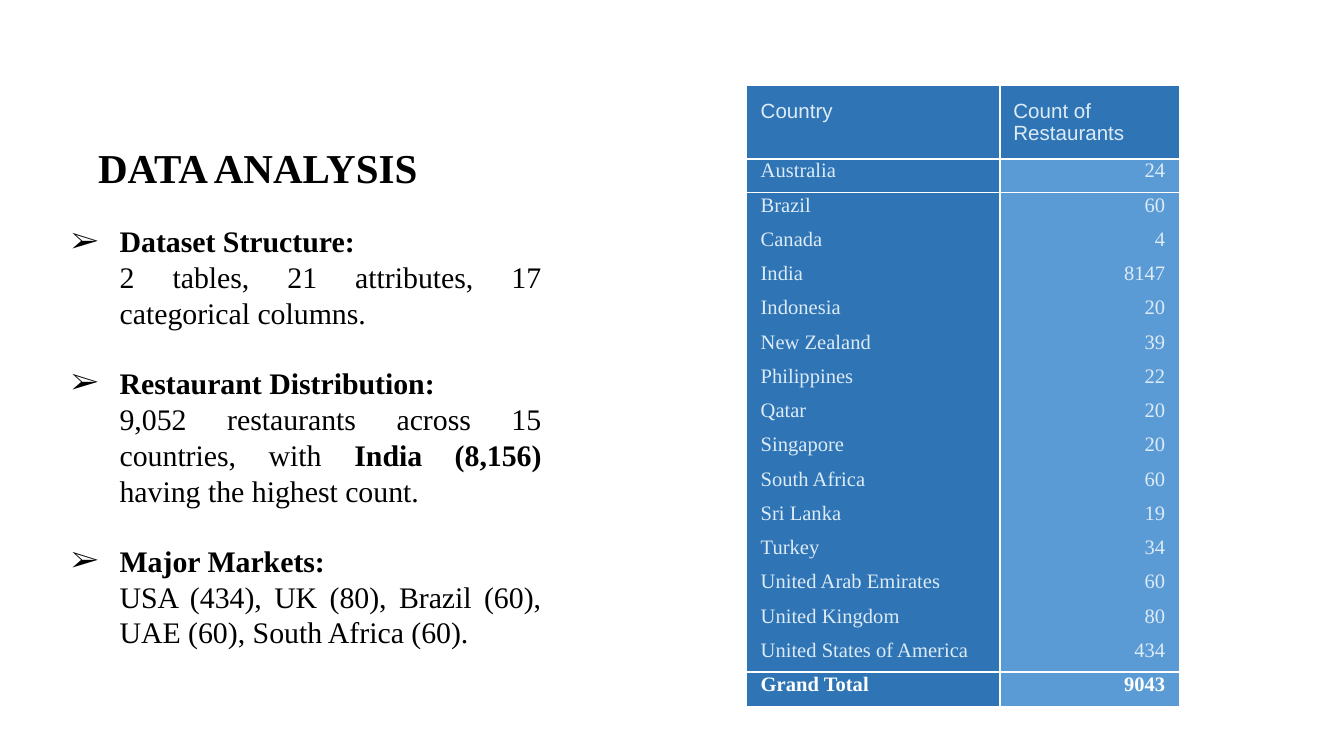
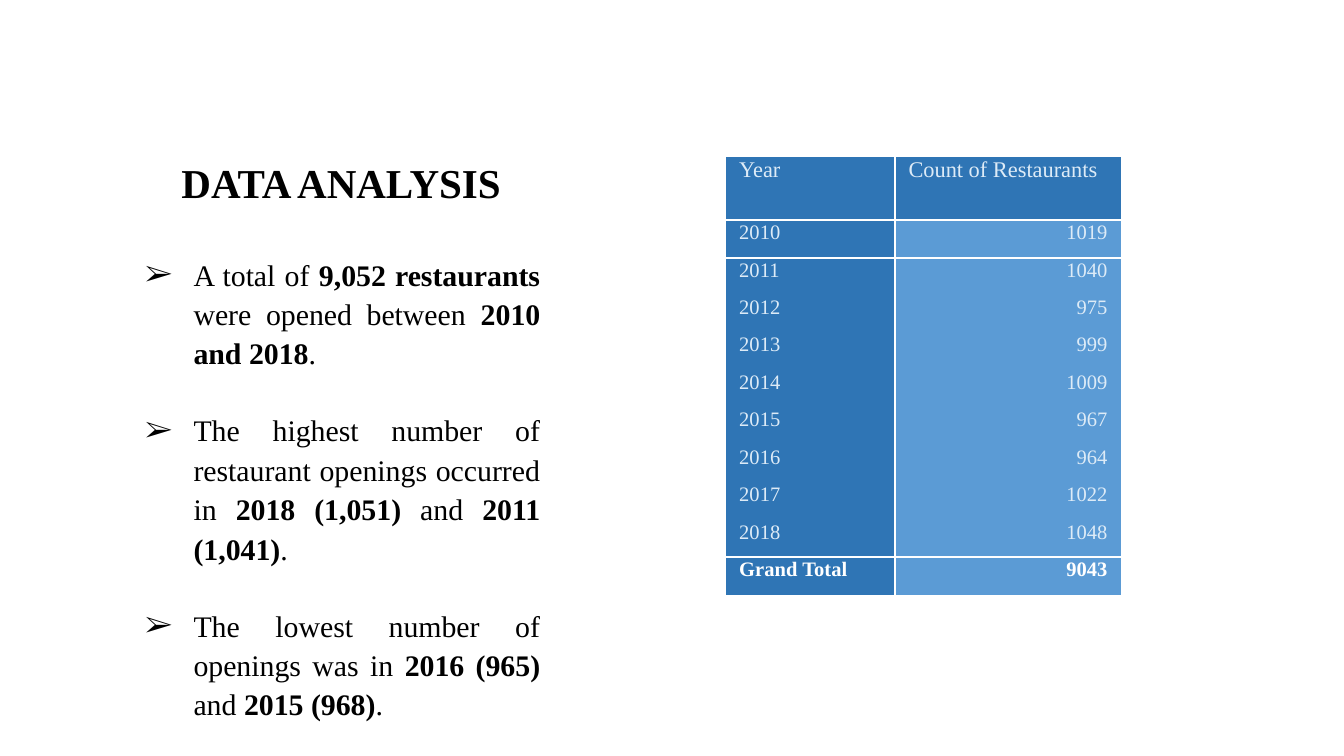
from pptx import Presentation
from pptx.dml.color import RGBColor
from pptx.enum.text import MSO_ANCHOR, MSO_AUTO_SIZE, PP_ALIGN
from pptx.oxml.ns import qn
from pptx.util import Inches, Pt
from lxml.etree import SubElement

SLIDE_WIDTH, SLIDE_HEIGHT = Inches(10), Inches(5.625)
SERIF, SANS = "Times New Roman", "Arial"
BLACK, WHITE, PALE = "000000", "FFFFFF", "DDEBF7"
DARK_BLUE, LIGHT_BLUE = "2F75B5", "5B9BD5"
INSET = Inches(0.1)
RULE_WIDTH = 1.13
ROW_SPACING = 0.32

COUNTRY_COUNTS = [
    ("Country", "Count of Restaurants"),
    ("Australia", 24),
    ("Brazil", 60),
    ("Canada", 4),
    ("India", 8147),
    ("Indonesia", 20),
    ("New Zealand", 39),
    ("Philippines", 22),
    ("Qatar", 20),
    ("Singapore", 20),
    ("South Africa", 60),
    ("Sri Lanka", 19),
    ("Turkey", 34),
    ("United Arab Emirates", 60),
    ("United Kingdom", 80),
    ("United States of America", 434),
    ("Grand Total", 9043),
]
YEAR_COUNTS = [
    ("Year", "Count of Restaurants"),
    (2010, 1019),
    (2011, 1040),
    (2012, 975),
    (2013, 999),
    (2014, 1009),
    (2015, 967),
    (2016, 964),
    (2017, 1022),
    (2018, 1048),
    ("Grand Total", 9043),
]
DATASET_POINTS = [
    ("**Dataset Structure:**",
     "2 tables, 21 attributes, 17 categorical columns."),
    ("**Restaurant Distribution:**",
     "9,052 restaurants across 15 countries, with **India (8,156)** having the highest count."),
    ("**Major Markets:**",
     "USA (434), UK (80), Brazil (60), UAE (60), South Africa (60)."),
]
OPENING_POINTS = [
    ("A total of **9,052 restaurants** were opened between **2010 and 2018**.",),
    ("The highest number of restaurant openings occurred in "
     "**2018 (1,051)** and **2011 (1,041)**.",),
    ("The lowest number of openings was in **2016 (965)** and **2015 (968)**.",),
]


def color(value):
    return RGBColor.from_string(value)


def across(percent):
    return round(SLIDE_WIDTH * percent / 100)


def down(percent):
    return round(SLIDE_HEIGHT * percent / 100)


def write(paragraph, text, size=16, font=SERIF, ink=BLACK, bold=False,
          align=PP_ALIGN.LEFT, spacing=1.0, before=0):
    paragraph.alignment = align
    paragraph.line_spacing = spacing
    paragraph.space_before = Pt(before)
    paragraph.space_after = Pt(0)
    for index, part in enumerate(text.split("**")):
        if part:
            run = paragraph.add_run()
            run.text = part
            run.font.size = Pt(size)
            run.font.name = font
            run.font.bold = bold or index % 2 == 1
            run.font.color.rgb = color(ink)


def settle(placeholder, left, top, width, height):
    placeholder.left, placeholder.top = across(left), down(top)
    placeholder.width, placeholder.height = across(width), down(height)
    frame = placeholder.text_frame
    frame.word_wrap = True
    frame.auto_size = MSO_AUTO_SIZE.NONE
    frame.vertical_anchor = MSO_ANCHOR.TOP
    frame.margin_left = frame.margin_right = INSET
    frame.margin_top = frame.margin_bottom = INSET
    return frame


def set_bullet(paragraph, shown):
    properties = paragraph._p.get_or_add_pPr()
    properties.set("marL", str(Inches(0.5)))
    properties.set("indent", str(-Inches(0.36) if shown else 0))
    if shown:
        tint = SubElement(properties, qn("a:buClr"))
        SubElement(tint, qn("a:srgbClr"), val=BLACK)
        SubElement(properties, qn("a:buFont"), typeface=SERIF)
        SubElement(properties, qn("a:buChar"), char="➢")
    else:
        SubElement(properties, qn("a:buNone"))


def add_title(slide, left, top):
    frame = settle(slide.shapes.title, left, top, 66.4, 10.13)
    write(frame.paragraphs[0], "DATA ANALYSIS", size=22, bold=True, spacing=1.2)


def add_points(slide, points, left, top, width, spacing):
    frame = settle(slide.placeholders[1], left, top, width, 65.42)
    paragraph = frame.paragraphs[0]
    for number, lines in enumerate(points):
        for position, line in enumerate(lines):
            if number or position:
                paragraph = frame.add_paragraph()
            heads_point = position == 0
            set_bullet(paragraph, heads_point)
            gap = 18.4 * spacing if number and heads_point else 0
            write(paragraph, line, align=PP_ALIGN.JUSTIFY,
                  spacing=spacing, before=gap)


def set_borders(cell, widths):
    properties = cell._tc.get_or_add_tcPr()
    for side in "LRTB":
        width = widths.get(side, 0)
        border = SubElement(properties, qn(f"a:ln{side}"), w=str(Pt(width)))
        if width:
            fill = SubElement(border, qn("a:solidFill"))
            SubElement(fill, qn("a:srgbClr"), val=WHITE)
        else:
            SubElement(border, qn("a:noFill"))


def add_counts(slide, counts, left, top, column_widths, header_height, row_height,
               header_format, first_rule):
    last = len(counts) - 1
    heights = [header_height] + [row_height] * last
    table = slide.shapes.add_table(
        len(counts), 2, across(left), down(top),
        across(sum(column_widths)), down(sum(heights))).table
    table.first_row = table.horz_banding = False
    for column, width in zip(table.columns, column_widths):
        column.width = across(width)
    rules = {0: RULE_WIDTH, 1: first_rule, last - 1: RULE_WIDTH}
    for row, (values, height) in enumerate(zip(counts, heights)):
        table.rows[row].height = down(height)
        for column, value in enumerate(values):
            cell = table.cell(row, column)
            set_borders(cell, {"RL"[column]: RULE_WIDTH,
                               "T": rules.get(row - 1, 0),
                               "B": rules.get(row, 0)})
            cell.fill.solid()
            is_count = row > 0 and column == 1
            cell.fill.fore_color.rgb = color(LIGHT_BLUE if is_count else DARK_BLUE)
            cell.margin_left = cell.margin_right = INSET
            cell.margin_top = cell.margin_bottom = INSET
            look = {"size": 11, "spacing": ROW_SPACING,
                    "ink": WHITE if row == last else PALE,
                    "bold": row == last,
                    "align": PP_ALIGN.RIGHT if is_count else PP_ALIGN.LEFT}
            if row == 0:
                look.update(header_format)
            write(cell.text_frame.paragraphs[0], str(value), **look)


def main():
    deck = Presentation()
    deck.slide_width, deck.slide_height = SLIDE_WIDTH, SLIDE_HEIGHT
    layout = deck.slide_layouts[1]

    by_country = deck.slides.add_slide(layout)
    add_title(by_country, 6.3, 15.82)
    add_points(by_country, DATASET_POINTS, 2.9, 27.73, 38.4, spacing=1.0)
    add_counts(by_country, COUNTRY_COUNTS, 55.6, 11.38, (18.8, 13.3), 3.73, 3.73,
               {"font": SANS, "spacing": 1.0}, first_rule=0.5)

    by_year = deck.slides.add_slide(layout)
    add_title(by_year, 12.5, 17.78)
    add_points(by_year, OPENING_POINTS, 8.4, 31.64, 32.8, spacing=1.1)
    add_counts(by_year, YEAR_COUNTS, 54, 20.8, (12.6, 16.8), 8.36, 4.95,
               {"size": 12}, first_rule=RULE_WIDTH)

    deck.save("out.pptx")


if __name__ == "__main__":
    main()
